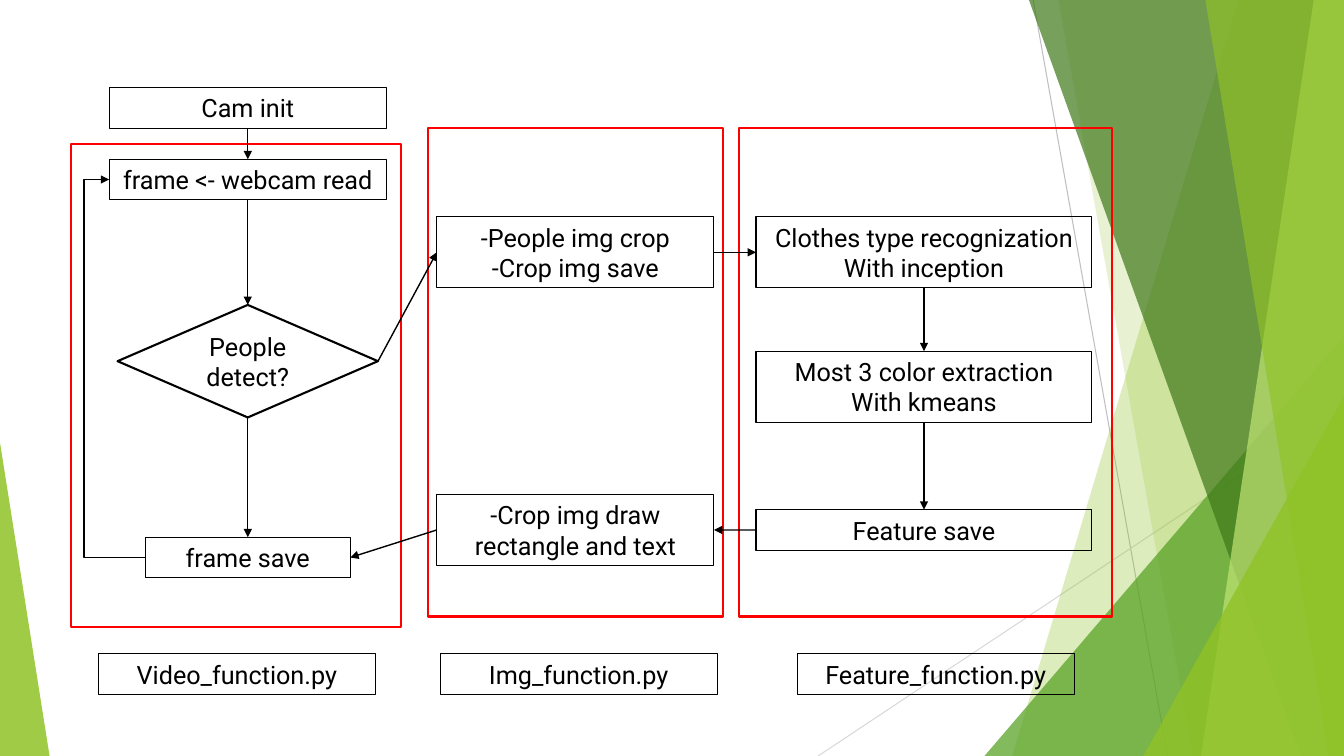
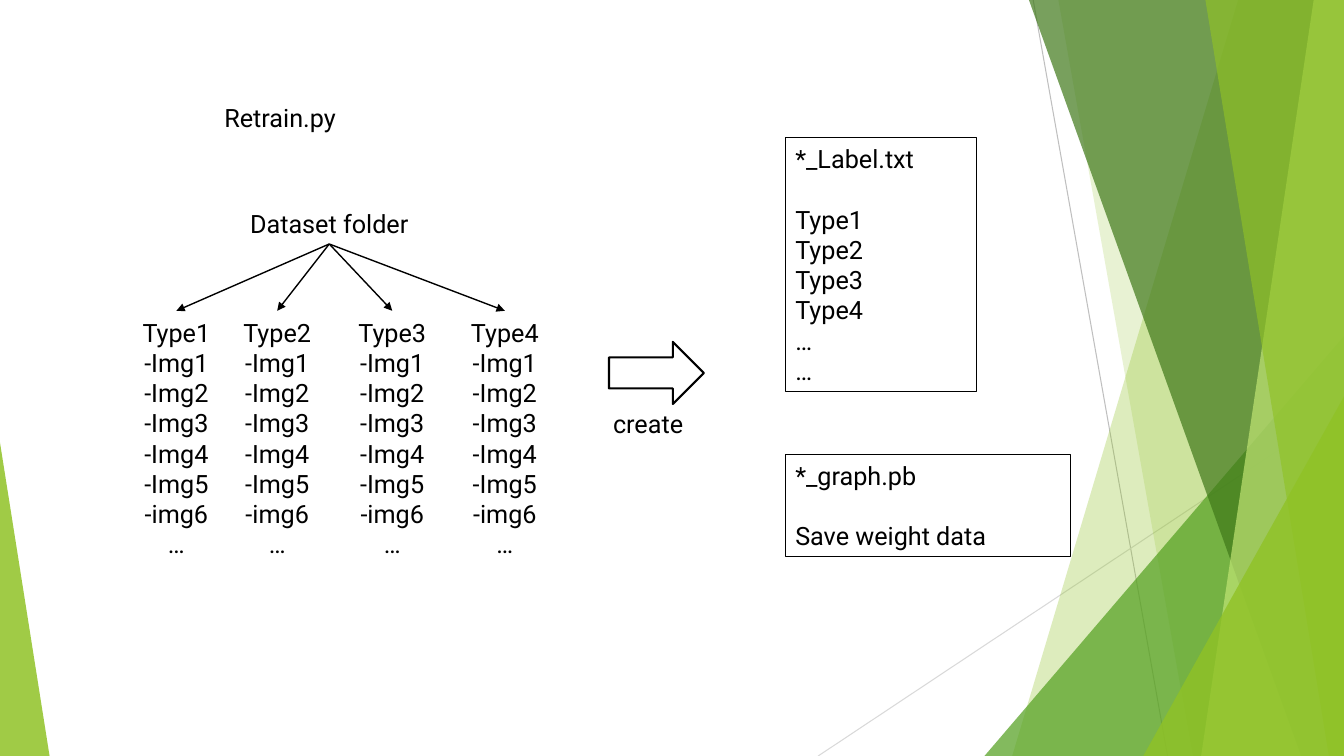
from lxml.etree import SubElement
from pptx import Presentation
from pptx.dml.color import RGBColor
from pptx.enum.shapes import MSO_CONNECTOR as CONN, MSO_SHAPE as SHAPE
from pptx.enum.text import MSO_ANCHOR as ANCHOR, MSO_AUTO_SIZE as AUTO, PP_ALIGN as ALIGN
from pptx.oxml.ns import qn
from pptx.util import Inches, Pt

COLS, ROWS = 160, 90
FONT, SIZE, LINE_GAP = "Roboto", Pt(18), Pt(21.5)
ONE, TWO, EIGHT = 4.85, 8.48, 30.25
HEX = {
    "ink": "000000", "frame": "FF0000", "ray": "BFBFBF", "pale ray": "D9D9D9",
    "lime": "90C226", "green": "54A021", "forest": "3F7819", "mint": "C0E474",
}

prs = Presentation()
prs.slide_width, prs.slide_height = Inches(13.3333), Inches(7.5)
CELL = prs.slide_height / ROWS
flow = prs.slides.add_slide(prs.slide_layouts[6])
retrain = prs.slides.add_slide(prs.slide_layouts[5])


def grid(*cells):
    return [round(c * CELL) for c in cells]


def connect(sld, ends, color="ink", width=1, kind=CONN.STRAIGHT):
    cn = sld.shapes.add_connector(kind, *grid(*ends))
    cn.line.color.rgb = RGBColor.from_string(HEX[color])
    cn.line.width = Pt(width)
    SubElement(cn.element.spPr, qn("a:effectLst"))
    return cn


decor = [
    connect(flow, (123, 0, 139, ROWS), "ray", 0.75),
    connect(flow, (COLS, 48.4, 97.4, ROWS), "pale ray", 0.75),
]
facets = [
    ("band", (147.4, 120.5), "lime", 30),
    ("band", (126, 142), "lime", 20),
    ("right", (117.2, 40, 42.8, 50), "green", 72),
    ("band", (122.5, 154.9), "forest", 70),
    ("band", (156.4, 143), "mint", 70),
    ("band", (143.5, 158.2), "lime", 65),
    ("right", (136.1, 47.2, 23.9, 42.8), "lime", 80),
    ("left", (0, 52.7, 5.9, 37.3), "lime", 85),
]
for kind, place, color, opacity in facets:
    if kind == "band":
        top, bottom = place
        fb = flow.shapes.build_freeform(*grid(top, 0))
        fb.add_line_segments([grid(COLS, 0), grid(COLS, ROWS), grid(bottom, ROWS)])
        sp = fb.convert_to_shape()
    else:
        sp = flow.shapes.add_shape(SHAPE.ISOSCELES_TRIANGLE, *grid(*place))
        sp.adjustments[0] = 1 if kind == "right" else 0
    sp.shadow.inherit = False
    sp.fill.solid()
    sp.fill.fore_color.rgb = RGBColor.from_string(HEX[color])
    sp.line.fill.background()
    clr = sp.element.find(".//" + qn("a:srgbClr"))
    SubElement(clr, qn("a:alpha")).set("val", str(opacity * 1000))
    decor.append(sp)
for n, sp in enumerate(decor, 20):
    sp.element.find(".//" + qn("p:cNvPr")).set("id", str(n))
    prs.slide_master.shapes.element.append(sp.element)

RECT = SHAPE.RECTANGLE
CENTER, LEFT = ALIGN.CENTER, ALIGN.LEFT
items = [
    (flow, "init", RECT, (13, 10.4, 33, ONE), ["Cam init"], CENTER),
    (flow, "read", RECT, (13, 18.95, 33, ONE), ["frame <- webcam read"], CENTER),
    (flow, "detect", SHAPE.DIAMOND, (14, 36.3, 31, 13.4), ["People detect?"], CENTER),
    (flow, "save", RECT, (17.3, 63.95, 24.4, ONE), ["frame save"], CENTER),
    (flow, "crop", RECT, (52, 25.8, 33, TWO), ["-People img crop", "-Crop img save"], CENTER),
    (flow, "draw", RECT, (52, 58.85, 33, TWO), ["-Crop img draw rectangle and text"], CENTER),
    (flow, "clothes", RECT, (90, 25.8, 40, TWO),
     ["Clothes type recognization", "With inception"], CENTER),
    (flow, "color", RECT, (90, 41.8, 40, TWO), ["Most 3 color extraction", "With kmeans"], CENTER),
    (flow, "feature", RECT, (90, 60.67, 40, ONE), ["Feature save"], CENTER),
    (flow, "video frame", RECT, (8.5, 17.1, 39.2, 57.6), [], CENTER),
    (flow, "img frame", RECT, (50.9, 15.2, 35.2, 58.2), [], CENTER),
    (flow, "feature frame", RECT, (88, 15.2, 44.4, 58.2), [], CENTER),
    (retrain, "title", "title", (25.5, 11.5, 24.4, ONE), ["Retrain.py"], LEFT),
    (retrain, "dataset", "text", (27, 24.2, 24.4, ONE), ["Dataset folder"], CENTER),
    (retrain, "labels", RECT, (93.5, 16.35, 22.7, EIGHT),
     ["*_Label.txt", "Type1", "Type2", "Type3", "Type4", "…", "…"], LEFT),
    (retrain, "graph", RECT, (93.5, 54.1, 33.9, 12.15), ["*_graph.pb", "Save weight data"], LEFT),
    (retrain, "arrow", SHAPE.RIGHT_ARROW, (72.5, 40.7, 11.3, 7.4), [], CENTER),
    (retrain, "create", "text", (71.8, 48, 11.3, ONE), ["create"], LEFT),
]
for x, module in zip((11.7, 52.4, 94.9), ("Video", "Img", "Feature")):
    items.append((flow, module, RECT, (x, 77.8, 33, ONE), [f"{module}_function.py"], CENTER))
files = ["-Img1", "-Img2", "-Img3", "-Img4", "-Img5", "-img6", "…"]
for n, x in enumerate((13.5, 25.5, 39.2, 52.6), 1):
    items.append((retrain, f"type{n}", "text", (x, 37, 15, EIGHT), [f"Type{n}"] + files, CENTER))

nodes = {}
for sld, name, kind, place, lines, align in items:
    box = grid(*place)
    if kind == "title":
        sp = sld.shapes.title
        sp.left, sp.top, sp.width, sp.height = box
    elif kind == "text":
        sp = sld.shapes.add_textbox(*box)
    else:
        sp = sld.shapes.add_shape(kind, *box)
        sp.shadow.inherit = False
        sp.fill.background()
        color = "frame" if name.endswith("frame") else "ink"
        sp.line.color.rgb = RGBColor.from_string(HEX[color])
        sp.line.width = Pt(0.75 if kind == RECT and color == "ink" else 1.5)
    nodes[name] = sp
    tf = sp.text_frame
    tf.word_wrap = True
    tf.auto_size = AUTO.NONE
    tf.vertical_anchor = ANCHOR.MIDDLE
    for i, line in enumerate(lines):
        p = tf.add_paragraph() if i else tf.paragraphs[0]
        p.alignment = align
        if name in ("labels", "graph") and i == 0:
            p.space_after = LINE_GAP
        r = p.add_run()
        r.text = line
        r.font.name, r.font.size = FONT, SIZE
        r.font.color.rgb = RGBColor.from_string(HEX["ink"])

TOP, WEST, BOTTOM, EAST = range(4)
links = [
    (flow, "init", BOTTOM, "read", TOP),
    (flow, "read", BOTTOM, "detect", TOP),
    (flow, "detect", BOTTOM, "save", TOP),
    (flow, "save", WEST, "read", WEST),
    (flow, "detect", EAST, "crop", WEST),
    (flow, "crop", EAST, "clothes", WEST),
    (flow, "clothes", BOTTOM, "color", TOP),
    (flow, "color", BOTTOM, "feature", TOP),
    (flow, "feature", WEST, "draw", EAST),
    (flow, "draw", WEST, "save", EAST),
]
links += [(retrain, "dataset", BOTTOM, f"type{n}", TOP) for n in range(1, 5)]
for sld, start, out, end, into in links:
    loop = out == into
    cn = connect(sld, (0, 0, 0, 0), kind=CONN.ELBOW if loop else CONN.STRAIGHT)
    cn.begin_connect(nodes[start], out)
    cn.end_connect(nodes[end], into)
    SubElement(cn.line._get_or_add_ln(), qn("a:tailEnd")).set("type", "triangle")
    if loop:
        gd = SubElement(cn.element.find(".//" + qn("a:avLst")), qn("a:gd"))
        gd.set("name", "adj1")
        gd.set("fmla", "val 170000")

prs.save("out.pptx")
